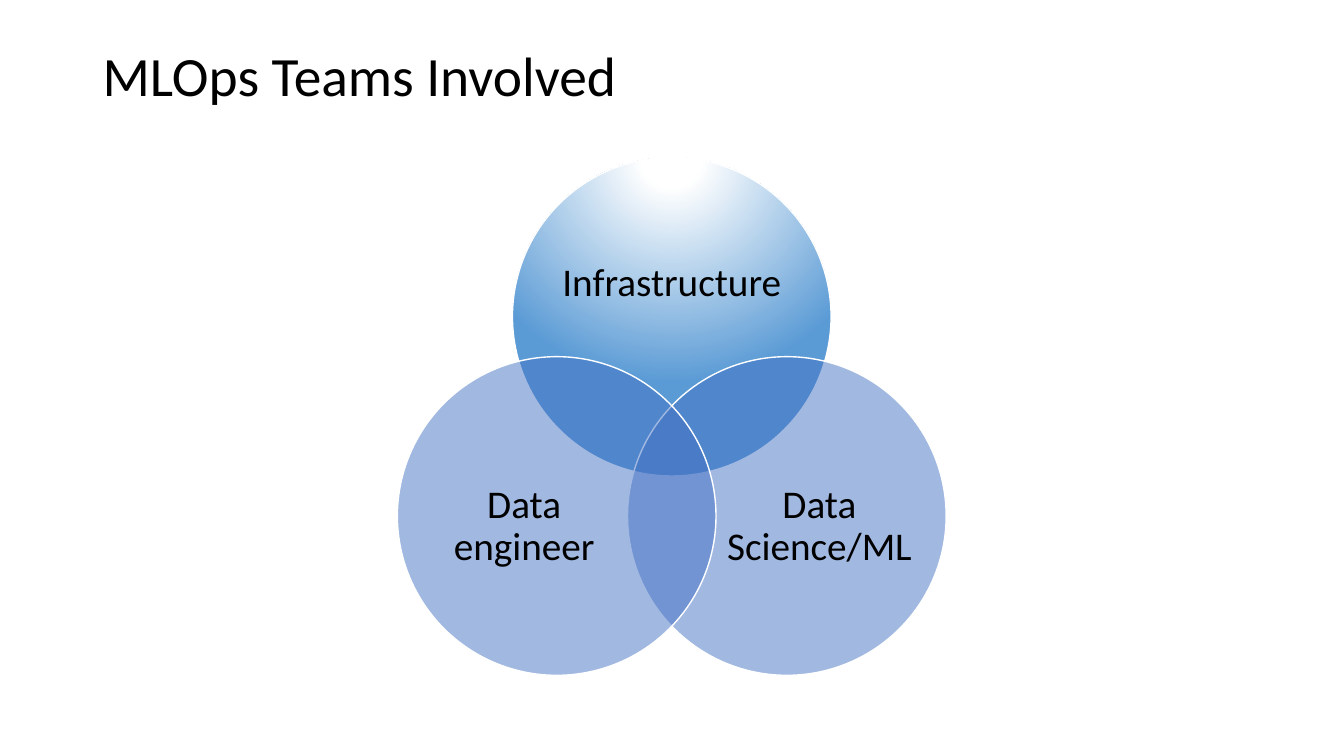
import math
import pptx
import pptx.dml.color
import pptx.enum.shapes
import pptx.enum.text
import pptx.oxml
import pptx.oxml.ns
import pptx.util

Cm = pptx.util.Cm
COLOURS = {"text": "000000", "white": "FFFFFF", "sky": "5B9BD5", "royal": "4472C4"}


def colour(name):
    return pptx.dml.color.RGBColor.from_string(COLOURS[name])


def write_text(shape, words, size, alignment, margins):
    frame = shape.text_frame
    frame.text = words
    frame_format = {
        "word_wrap": True,
        "auto_size": pptx.enum.text.MSO_AUTO_SIZE.NONE,
        "vertical_anchor": pptx.enum.text.MSO_ANCHOR.MIDDLE,
        **margins,
    }
    for name, value in frame_format.items():
        setattr(frame, name, value)
    para = frame.paragraphs[0]
    para.alignment = alignment
    para.line_spacing = 0.9
    span = para.runs[0]
    for name, value in {"name": "Calibri", "size": pptx.util.Pt(size)}.items():
        setattr(span.font, name, value)
    span.font.color.rgb = colour("text")


deck = pptx.Presentation()
deck.slide_width, deck.slide_height = Cm(33.87), Cm(19.05)
page = deck.slides.add_slide(deck.slide_layouts[5])

# Title
title = page.shapes.title
title_place = {"left": 2.33, "top": 1.02, "width": 29.21, "height": 1.9}
for name, value in title_place.items():
    setattr(title, name, Cm(value))
write_text(title, "MLOps Teams Involved", 39.6, pptx.enum.text.PP_ALIGN.LEFT, {})

# Three overlapping circles, centred on the corners of an equilateral triangle
DIAMETER = 8.03
HALF_SIDE = 2.9
TOP_X, TOP_Y = 16.93, 7.98
LOW_Y = TOP_Y + HALF_SIDE * math.sqrt(3)
NO_MARGINS = {f"margin_{side}": 0 for side in ("left", "top", "right", "bottom")}

# words, circle centre, label offset from the centre, label size
teams = [
    ("Infrastructure", TOP_X, TOP_Y, 0, -0.82, 5.87, 3.61),
    ("Data Science/ML", TOP_X + HALF_SIDE, LOW_Y, 0.82, 0.28, 4.82, 4.42),
    ("Data engineer", TOP_X - HALF_SIDE, LOW_Y, -0.82, 0.28, 4.82, 4.42),
]
for words, x, y, shift_x, shift_y, width, height in teams:
    circle = page.shapes.add_shape(
        pptx.enum.shapes.MSO_SHAPE.OVAL,
        Cm(x - DIAMETER / 2), Cm(y - DIAMETER / 2), Cm(DIAMETER), Cm(DIAMETER))
    circle.shadow.inherit = False
    circle.line.color.rgb = colour("white")
    circle.line.width = pptx.util.Pt(1)

    if y == TOP_Y:
        # Radial glow from above the circle
        stops = "".join(
            f'<a:gs pos="{position}"><a:srgbClr val="{COLOURS[name]}"/></a:gs>'
            for position, name in ((0, "white"), (13000, "white"), (100000, "sky")))
        glow = pptx.oxml.parse_xml(
            f'<a:gradFill {pptx.oxml.ns.nsdecls("a")} rotWithShape="1">'
            f'<a:gsLst>{stops}</a:gsLst><a:path path="circle">'
            '<a:fillToRect l="50000" t="-80000" r="50000" b="180000"/>'
            '</a:path></a:gradFill>')
        circle._element.spPr.insert(2, glow)
    else:
        # Half-transparent fill
        circle.fill.solid()
        circle.fill.fore_color.rgb = colour("royal")
        tint = circle._element.spPr.find(".//" + pptx.oxml.ns.qn("a:srgbClr"))
        tint.append(pptx.oxml.parse_xml(
            f'<a:alpha {pptx.oxml.ns.nsdecls("a")} val="50000"/>'))

    label = page.shapes.add_textbox(
        Cm(x + shift_x - width / 2), Cm(y + shift_y - height / 2), Cm(width), Cm(height))
    write_text(label, words, 28, pptx.enum.text.PP_ALIGN.CENTER, NO_MARGINS)

deck.save("out.pptx")
